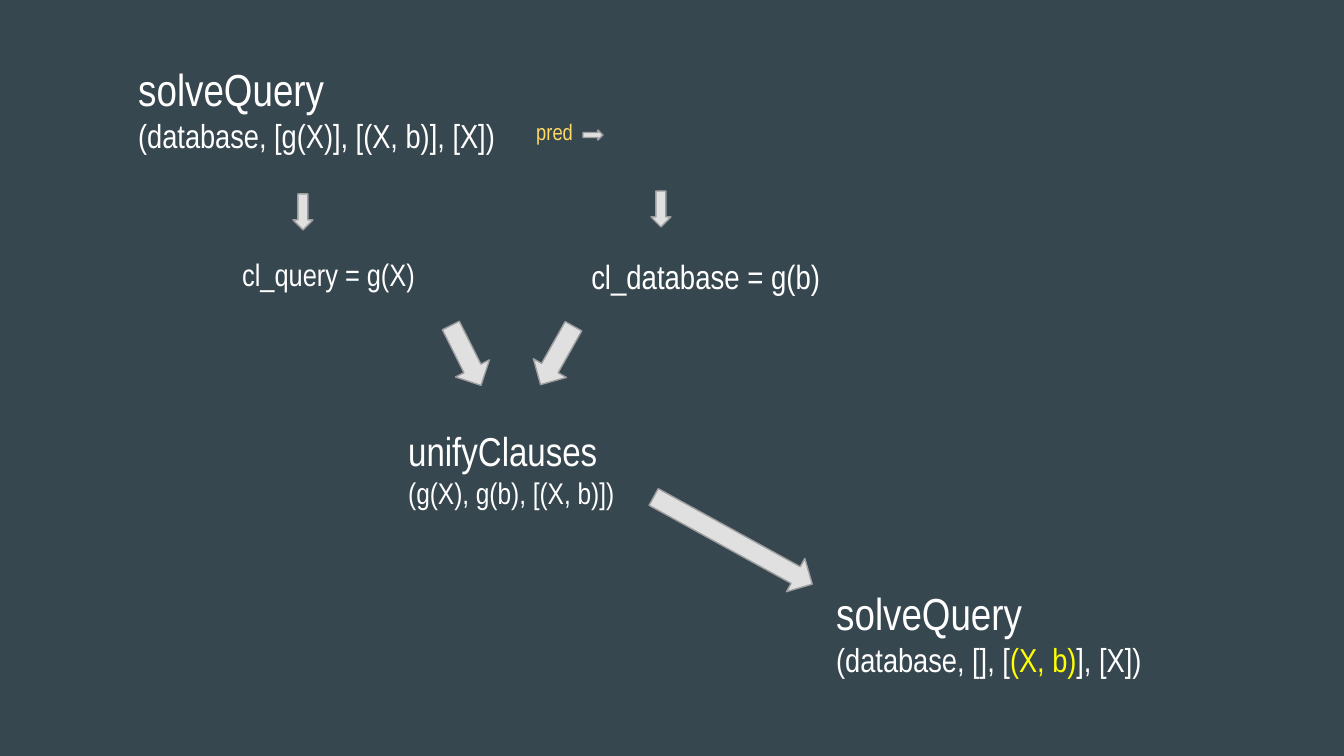
from pptx import Presentation
from pptx import util as u
from pptx.dml.color import RGBColor
from pptx.enum import shapes, text

SCALE = 914400 / 134.4  # EMU per px
FONT = "Arial Narrow"
WHITE, GOLD, YELLOW = "FFFFFF", "FFD966", "FFFF00"
BACK, PALE, GREY = "37474F", "E0E0E0", "9E9E9E"
DOWN = shapes.MSO_SHAPE.DOWN_ARROW
RIGHT = shapes.MSO_SHAPE.RIGHT_ARROW


def px(n):
    return u.Emu(round(n * SCALE))


def color(code):
    return RGBColor.from_string(code)


def put_run(para, words, size=18, fill=WHITE):
    run = para.add_run()
    run.text = words
    run.font.name = FONT
    run.font.size = u.Pt(size)
    run.font.color.rgb = color(fill)


def put_text(slide, box, *lines):
    """Each line is a list of (words, format) runs."""
    frame = slide.shapes.add_textbox(*map(px, box)).text_frame
    frame.word_wrap = True
    frame.vertical_anchor = text.MSO_ANCHOR.TOP
    frame.margin_left = frame.margin_right = u.Inches(0.1)
    frame.margin_top = frame.margin_bottom = u.Inches(0.1)
    for i, line in enumerate(lines):
        para = frame.add_paragraph() if i else frame.paragraphs[0]
        for words, style in line:
            put_run(para, words, **style)


def put_call(slide, box, name, args, big=24, small=17.8):
    """A function name with its arguments on the line below."""
    put_text(slide, box, [(name, {"size": big})],
             [(words, {"size": small, "fill": fill}) for words, fill in args])


def put_arrow(slide, kind, box, turn=0):
    arrow = slide.shapes.add_shape(kind, *map(px, box))
    arrow.shadow.inherit = False
    arrow.rotation = turn
    arrow.fill.solid()
    arrow.fill.fore_color.rgb = color(PALE)
    arrow.line.color.rgb = color(GREY)
    arrow.line.width = u.Pt(0.75)


def main():
    deck = Presentation()
    deck.slide_width, deck.slide_height = px(1344), px(756)
    slide = deck.slides.add_slide(deck.slide_layouts[6])
    slide.background.fill.solid()
    slide.background.fill.fore_color.rgb = color(BACK)

    # First query and its predicate
    put_call(slide, (125, 48, 411, 155), "solveQuery",
             [("(database, [g(X)], [(X, b)], [X])", WHITE)])
    put_text(slide, (523, 105, 72, 43), [("pred", {"size": 12, "fill": GOLD})])
    put_arrow(slide, RIGHT, (583, 130, 20, 10))

    # The two clauses
    put_text(slide, (229, 242, 203, 97), [("cl_query = g(X)", {"size": 16.6})])
    put_text(slide, (578, 242, 262, 110), [("cl_database = g(b)", {"size": 18})])
    put_arrow(slide, DOWN, (293, 194, 20, 36))
    put_arrow(slide, DOWN, (651, 191, 20, 36))

    # Unification
    put_arrow(slide, DOWN, (447, 322, 38, 67), 333.3)
    put_arrow(slide, DOWN, (538, 322, 38, 67), 29.4)
    put_call(slide, (395, 413, 249, 110), "unifyClauses",
             [("(g(X), g(b), [(X, b)])", WHITE)], big=21.6, small=16)

    # Next query with the new binding
    put_arrow(slide, DOWN, (714, 450, 38, 181), 298.8)
    put_call(slide, (823, 572, 421, 155), "solveQuery",
             [("(database, [], [", WHITE), ("(X, b)", YELLOW), ("], [X])", WHITE)])

    deck.save("out.pptx")


if __name__ == "__main__":
    main()
